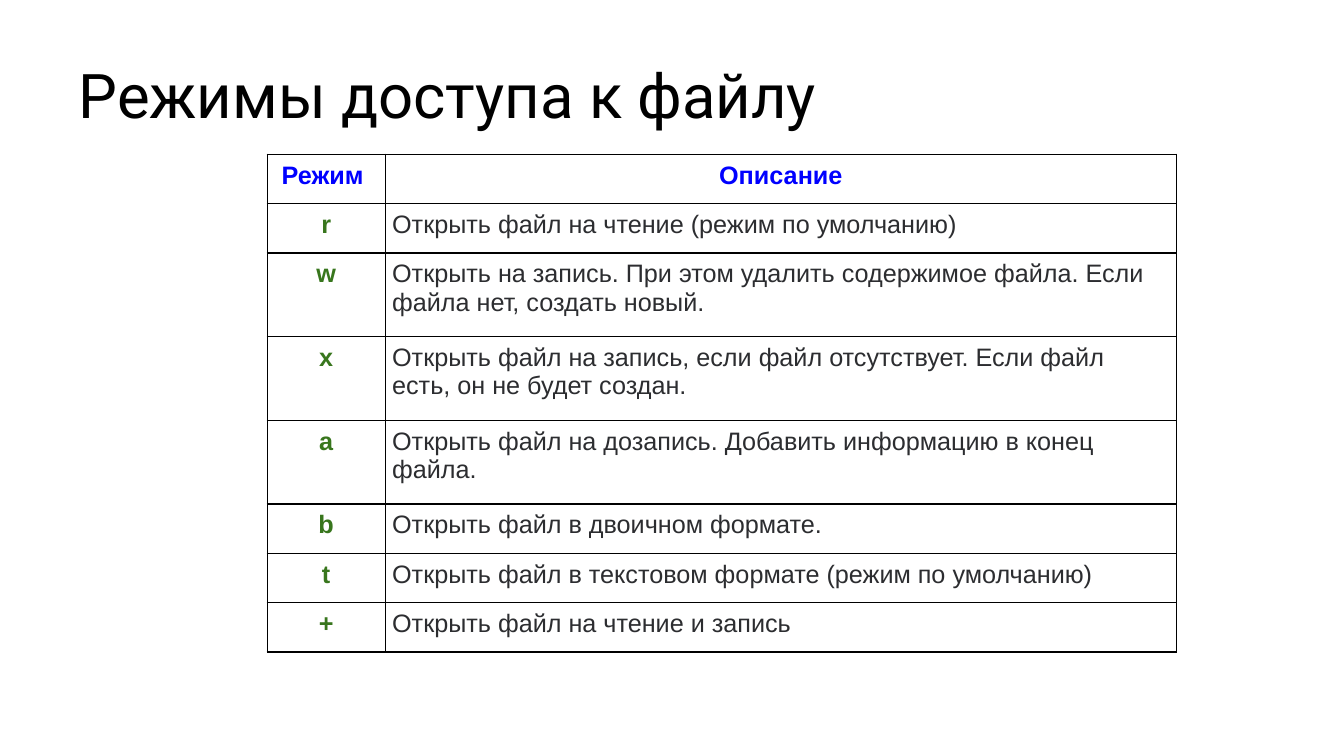
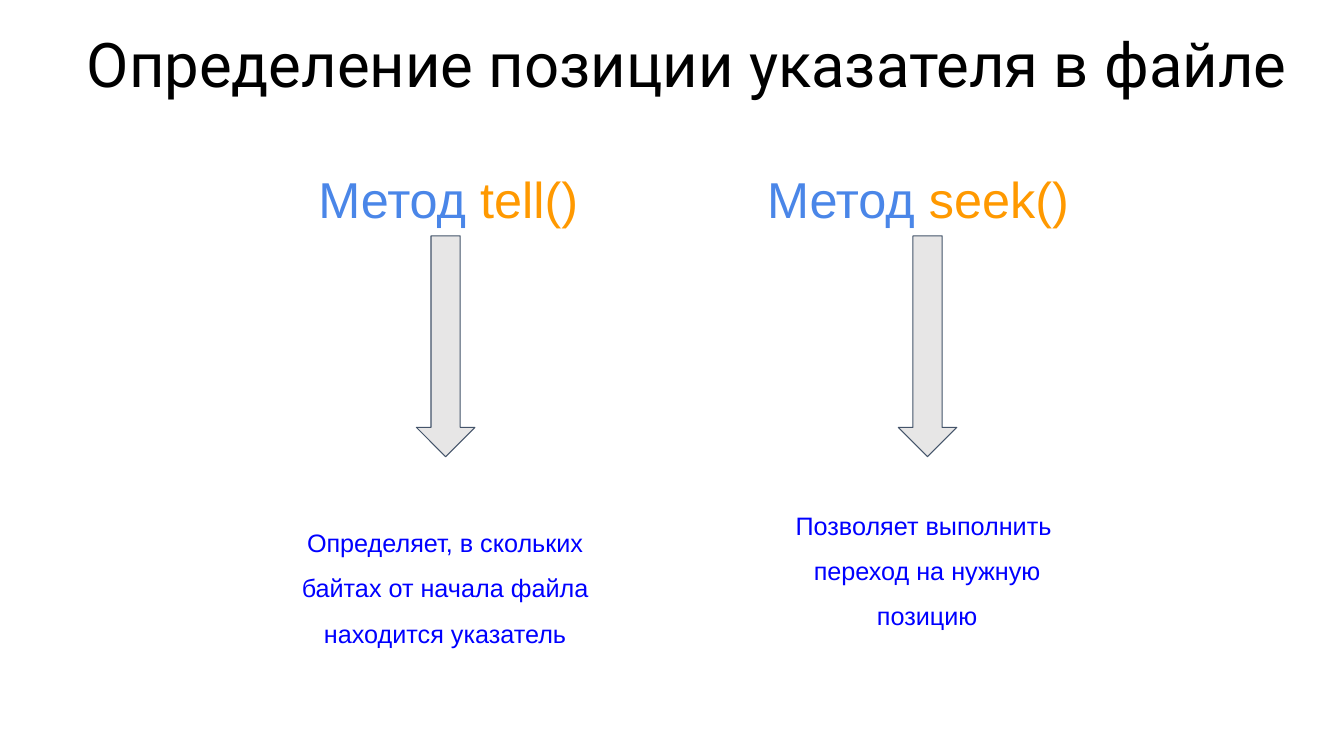
"""Build two slides about file access modes and the file pointer."""
from dataclasses import dataclass
from typing import NamedTuple

from lxml.etree import SubElement
from pptx import Presentation
from pptx.dml.color import RGBColor
from pptx.enum.shapes import MSO_SHAPE as Preset
from pptx.enum.text import MSO_ANCHOR as Anchor, MSO_AUTO_SIZE as AutoSize, PP_ALIGN as Align
from pptx.oxml.ns import qn
from pptx.util import Emu, Pt

EMU_PER_PX = 9144
SLIDE_SIZE = (1333, 750)
TITLE_ONLY = 5
BODY_FONT, TITLE_FONT = "Arial", "Roboto"
COLORS = {
    "title": "000000",
    "border": "000000",
    "accent": "0000FF",
    "mode": "38761D",
    "description": "2C2D30",
    "word": "4A86E8",
    "method": "FF9900",
    "arrow": "E7E6E6",
    "arrow_line": "44546A",
}


class Box(NamedTuple):
    left: int
    top: int
    width: int
    height: int


@dataclass(frozen=True)
class Mode:
    symbol: str
    description: str
    height: int = 49


@dataclass(frozen=True)
class Method:
    name: str
    heading: Box
    arrow: Box
    note: Box
    lines: tuple[str, ...]
    gap: int = 0


MODES = (
    Mode("r", "Открыть файл на чтение (режим по умолчанию)"),
    Mode("w", "Открыть на запись. При этом удалить содержимое файла. "
              "Если файла нет, создать новый.", 83),
    Mode("x", "Открыть файл на запись, если файл отсутствует. "
              "Если файл есть, он не будет создан.", 83),
    Mode("a", "Открыть файл на дозапись. Добавить информацию в конец файла.", 83),
    Mode("b", "Открыть файл в двоичном формате."),
    Mode("t", "Открыть файл в текстовом формате (режим по умолчанию)"),
    Mode("+", "Открыть файл на чтение и запись"),
)
METHODS = (
    Method("tell()", Box(306, 148, 296, 75), Box(413, 234, 58, 219), Box(281, 464, 321, 184),
           ("Определяет, в скольких байтах от начала файла находится указатель",), 10),
    Method("seek()", Box(751, 148, 321, 75), Box(891, 234, 58, 219), Box(759, 501, 321, 130),
           ("Позволяет выполнить ", "переход на нужную позицию")),
)


def px(length: int) -> Emu:
    """Turn pixels into EMU."""
    return Emu(length * EMU_PER_PX)


def rgb(role: str) -> RGBColor:
    """Return the colour of a role."""
    return RGBColor.from_string(COLORS[role])


def style_run(run, size: int, role: str, bold: bool = False, family: str = BODY_FONT) -> None:
    """Give a run its font, size, weight and colour."""
    run.font.name = family
    run.font.size = Pt(size)
    run.font.bold = bold
    run.font.color.rgb = rgb(role)


def style_frame(frame, anchor, inset_x: int = 10, inset_y: int = 5) -> None:
    """Set wrapping, anchor and insets of a text frame."""
    frame.word_wrap = True
    frame.auto_size = AutoSize.NONE
    frame.vertical_anchor = anchor
    frame.margin_left = frame.margin_right = px(inset_x)
    frame.margin_top = frame.margin_bottom = px(inset_y)


def add_titled_slide(deck, text: str, box: Box):
    """Add a slide and format its title."""
    slide = deck.slides.add_slide(deck.slide_layouts[TITLE_ONLY])
    title = slide.shapes.title
    title.left, title.top, title.width, title.height = map(px, box)
    frame = title.text_frame
    frame.text = text
    style_frame(frame, Anchor.BOTTOM)
    heading = frame.paragraphs[0]
    heading.alignment = Align.LEFT
    heading.line_spacing = 0.9
    style_run(heading.runs[0], 44, "title", family=TITLE_FONT)
    return slide


def add_borders(cell) -> None:
    """Draw a thin line on every side of a cell."""
    properties = cell._tc.get_or_add_tcPr()
    for index, side in enumerate(("a:lnL", "a:lnR", "a:lnT", "a:lnB")):
        line = SubElement(properties, qn(side), w=str(Pt(1)))
        fill = SubElement(line, qn("a:solidFill"))
        SubElement(fill, qn("a:srgbClr"), val=COLORS["border"])
        properties.insert(index, line)


def fill_cell(cell, text: str, role: str, bold: bool, align) -> None:
    """Write and format one table cell."""
    cell.text = text
    cell.fill.background()
    cell.margin_left = cell.margin_right = cell.margin_top = cell.margin_bottom = px(7)
    add_borders(cell)
    paragraph = cell.text_frame.paragraphs[0]
    paragraph.alignment = align
    style_run(paragraph.runs[0], 18, role, bold)


def add_mode_table(slide, left: int, top: int) -> None:
    """Add the table of access modes."""
    widths = (117, 785)
    heights = (49, *(mode.height for mode in MODES))
    box = Box(left, top, sum(widths), sum(heights))
    table = slide.shapes.add_table(len(heights), len(widths), *map(px, box)).table
    table.first_row = table.horz_banding = False
    for column, width in zip(table.columns, widths):
        column.width = px(width)
    for row, height in zip(table.rows, heights):
        row.height = px(height)
    for column, caption in enumerate(("Режим ", "Описание")):
        fill_cell(table.cell(0, column), caption, "accent", True, Align.CENTER)
    for row, mode in enumerate(MODES, start=1):
        fill_cell(table.cell(row, 0), mode.symbol, "mode", True, Align.CENTER)
        fill_cell(table.cell(row, 1), mode.description, "description", False, Align.LEFT)


def add_heading(slide, method: Method) -> None:
    """Add the two-coloured name of a method."""
    frame = slide.shapes.add_textbox(*map(px, method.heading)).text_frame
    style_frame(frame, Anchor.TOP, 10, 10)
    paragraph = frame.paragraphs[0]
    paragraph.line_spacing = 1.15
    for text, role in (("Метод ", "word"), (method.name, "method")):
        run = paragraph.add_run()
        run.text = text
        style_run(run, 36, role)


def add_arrow(slide, box: Box) -> None:
    """Add a block arrow pointing down."""
    arrow = slide.shapes.add_shape(Preset.DOWN_ARROW, *map(px, box))
    arrow.shadow.inherit = False
    arrow.fill.solid()
    arrow.fill.fore_color.rgb = rgb("arrow")
    arrow.line.color.rgb = rgb("arrow_line")
    arrow.line.width = Pt(0.75)


def add_note(slide, method: Method) -> None:
    """Add the explanation of a method."""
    frame = slide.shapes.add_textbox(*map(px, method.note)).text_frame
    frame.text = "\n".join(method.lines)
    style_frame(frame, Anchor.BOTTOM)
    for paragraph in frame.paragraphs:
        paragraph.alignment = Align.CENTER
        paragraph.line_spacing = 1.5
        paragraph.space_before = paragraph.space_after = Pt(method.gap)
        style_run(paragraph.runs[0], 18, "accent")


def main() -> None:
    """Build and save the presentation."""
    deck = Presentation()
    deck.slide_width, deck.slide_height = map(px, SLIDE_SIZE)

    modes_slide = add_titled_slide(deck, "Режимы доступа к файлу", Box(68, 50, 1182, 86))
    add_mode_table(modes_slide, 265, 153)

    pointer_slide = add_titled_slide(
        deck, "Определение позиции указателя в файле", Box(76, 30, 1218, 75))
    for method in METHODS:
        add_heading(pointer_slide, method)
        add_arrow(pointer_slide, method.arrow)
        add_note(pointer_slide, method)

    deck.save("out.pptx")


if __name__ == "__main__":
    main()
